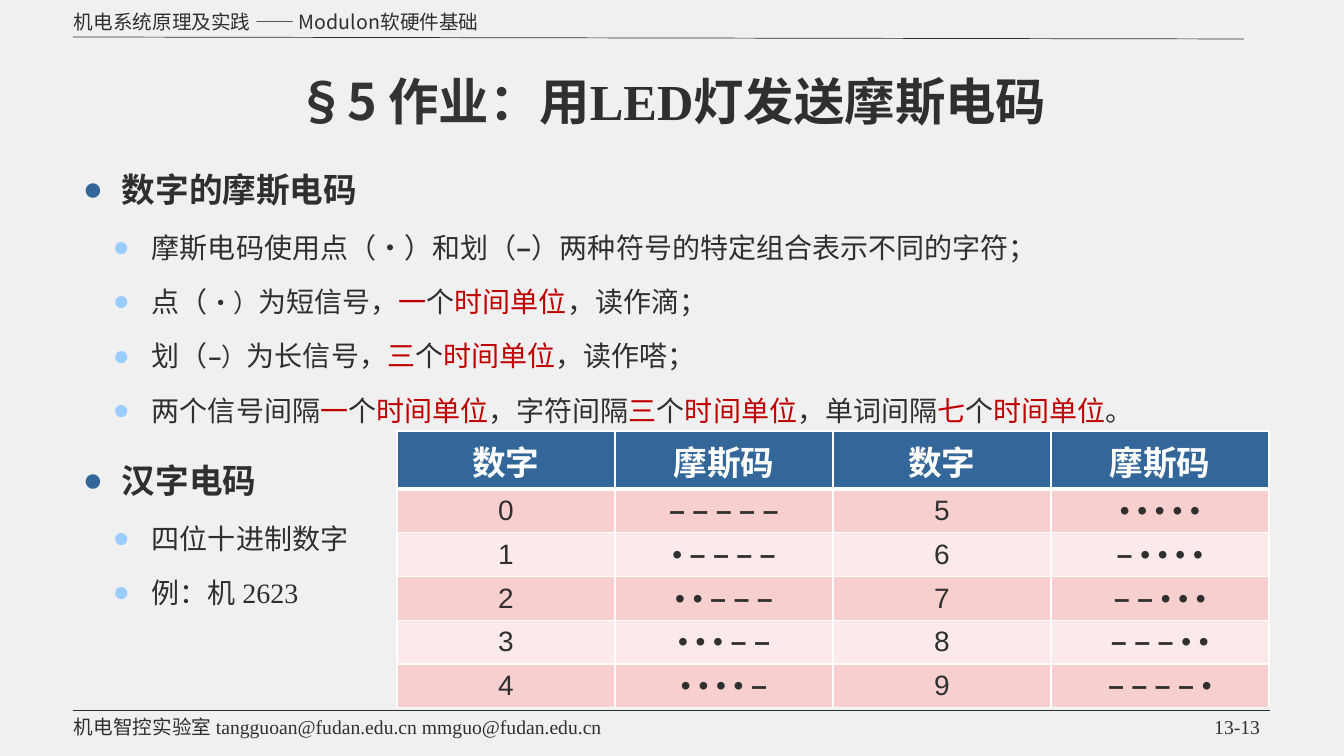
"""Build the slide on sending Morse code with an LED."""
from lxml.etree import SubElement
from pptx import Presentation
from pptx.dml.color import RGBColor
from pptx.enum.shapes import MSO_CONNECTOR
from pptx.enum.text import MSO_ANCHOR, MSO_AUTO_SIZE, PP_ALIGN
from pptx.oxml.ns import qn
from pptx.util import Pt

PX = 12192000 / 1344
COLORS = {"page": "F0F0F0", "ink": "2F2F2F", "title": "333333", "red": "C00000", "blue": "336699",
          "sky": "99CCFF", "white": "FFFFFF", "odd_row": "F8CFCF", "even_row": "FCE9E9"}
SANS, SERIF = "Noto Sans CJK SC", "Times New Roman"
RED, BOLD, SMALL = {"color": "red"}, {"bold": True}, {"size": Pt(18)}


def write(para, spans, **base):
    """Add runs to a paragraph, each a text with its own format changes."""
    for text, changes in spans:
        span = para.add_run()
        span.text = text
        look = {"name": SERIF, "color": "ink", "bold": False, **base, **changes}
        span.font.color.rgb = RGBColor.from_string(COLORS[look.pop("color")])
        for key, value in look.items():
            setattr(span.font, key, value)
        SubElement(span.font._element, qn("a:ea"), typeface=SANS)


def add_box(left, top, width, height, **frame_format):
    """Add a wrapping text box and return its text frame."""
    box = slide.shapes.add_textbox(*(round(n * PX) for n in (left, top, width, height)))
    for key, value in {"word_wrap": True, **frame_format}.items():
        setattr(box.text_frame, key, value)
    return box.text_frame


deck = Presentation()
deck.slide_width, deck.slide_height = round(1344 * PX), round(756 * PX)
slide = deck.slides.add_slide(deck.slide_layouts[5])
slide.background.fill.solid()
slide.background.fill.fore_color.rgb = RGBColor.from_string(COLORS["page"])

running_lines = [
    (5, 920, [("机电系统原理及实践 —— Modulon软硬件基础", {"name": SANS})]),
    (710, 1233, [("机电智控实验室 ", {"name": SANS}),
                 ("tangguoan@fudan.edu.cn mmguo@fudan.edu.cn", {})]),
]
for top, width, spans in running_lines:
    frame = add_box(64, top, width, 34, vertical_anchor=MSO_ANCHOR.MIDDLE)
    write(frame.paragraphs[0], spans, size=Pt(14))

for ends in [(73, 710, 1270, 710), (73, 37, 1244, 39)]:
    rule = slide.shapes.add_connector(MSO_CONNECTOR.STRAIGHT, *(round(n * PX) for n in ends))
    rule.line.color.rgb = RGBColor.from_string(COLORS["ink"])
    rule.line.width = Pt(0.5)
    SubElement(rule._element.spPr, qn("a:effectLst"))

title = slide.shapes.title
for key, value in {"left": 73, "top": 72, "width": 1197, "height": 50}.items():
    setattr(title, key, round(value * PX))
title_format = {"auto_size": MSO_AUTO_SIZE.NONE, "vertical_anchor": MSO_ANCHOR.MIDDLE,
                "margin_top": round(14 * PX), "margin_bottom": 0}
for key, value in title_format.items():
    setattr(title.text_frame, key, value)
heading = title.text_frame.paragraphs[0]
heading.alignment, heading.line_spacing = PP_ALIGN.CENTER, 0.9
write(heading, [("§5 作业：", {"name": SANS, "color": "title"}), ("用LED灯发送摩斯电码", {})],
      size=Pt(36), bold=True)

unit = ("时间单位", RED)
morse_rules = [
    [("数字的摩斯电码", {})],
    [("摩斯电码使用点（•）和划（", {}), ("–", BOLD), ("）两种符号的特定组合表示不同的字符；", {})],
    [("点（", {}), ("•）", SMALL), ("为短信号，", {}), ("一", RED), ("个", {}), unit, ("，读作滴；", {})],
    [("划（", {}), ("–", {**SMALL, **BOLD}), ("）", SMALL), ("为长信号，", {}), ("三", RED),
     ("个", {}), unit, ("，读作嗒；", {})],
    [("两个信号间隔", {}), ("一", RED), ("个", {}), unit, ("，字符间隔", {}), ("三", RED),
     ("个", {}), unit, ("，单词间隔", {}), ("七", RED), ("个", {}), unit, ("。", {})],
]
hanzi_rules = [[("汉字电码", {})], [("四位十进制数字", {})], [("例：机 2623", {})]]
levels = [{"margin": 39, "bullet": "blue", "size": 24}, {"margin": 69, "bullet": "sky", "size": 20}]
for place, outline in [((73, 144, 1197, 278), morse_rules), ((73, 435, 301, 189), hanzi_rules)]:
    frame = add_box(*place)
    for index, spans in enumerate(outline):
        para = frame.add_paragraph() if index else frame.paragraphs[0]
        para.level = min(index, 1)
        level = levels[para.level]
        para.line_spacing = 1.5
        para.space_before = Pt(2.8 if index else 0)
        props = para._p.get_or_add_pPr()
        props.set("marL", str(round(level["margin"] * PX)))
        props.set("indent", str(round(-39 * PX)))
        SubElement(SubElement(props, qn("a:buClr")), qn("a:srgbClr"), val=COLORS[level["bullet"]])
        SubElement(props, qn("a:buFont"), typeface="Arial")
        SubElement(props, qn("a:buChar"), char="●")
        write(para, spans, size=Pt(level["size"]), bold=index == 0)

page_number = add_box(977, 710, 293, 24).paragraphs[0]
page_number.alignment = PP_ALIGN.RIGHT
write(page_number, [("13-13", {})], size=Pt(14))

rows = [[[(label, {})] for label in ["数字", "摩斯码"] * 2]]
for low in range(5):
    dots, dashes = ["•"] * low, ["–"] * (5 - low)
    low_code = [(" ".join(dots) + " " if dots else "", {}), (" ".join(dashes), BOLD)]
    dashes, dots = ["–"] * low, ["•"] * (5 - low)
    high_code = [(" ".join(dashes) + " " if dashes else "", BOLD), (" ".join(dots), {})]
    codes = [[span for span in code if span[0]] for code in (low_code, high_code)]
    rows.append([[(str(low), {})], codes[0], [(str(low + 5), {})], codes[1]])

holder = slide.shapes.add_table(6, 4, *(round(n * PX) for n in (397, 431, 872, 273)))
table = holder.table
for column in table.columns:
    column.width = round(218 * PX)
for row_index, row in enumerate(rows):
    header = row_index == 0
    table.rows[row_index].height = round((58 if header else 43) * PX)
    fill = "blue" if header else "odd_row" if row_index % 2 else "even_row"
    for column_index, spans in enumerate(row):
        cell = table.cell(row_index, column_index)
        cell.vertical_anchor = MSO_ANCHOR.MIDDLE
        for side in ["lnL", "lnR", "lnT", "lnB"]:
            thick = (header and side == "lnB") or (row_index == 1 and side == "lnT")
            border = SubElement(cell._tc.get_or_add_tcPr(), qn(f"a:{side}"),
                                w=str(Pt(3 if thick else 1)))
            SubElement(SubElement(border, qn("a:solidFill")), qn("a:srgbClr"), val=COLORS["white"])
        cell.fill.solid()
        cell.fill.fore_color.rgb = RGBColor.from_string(COLORS[fill])
        para = cell.text_frame.paragraphs[0]
        para.alignment = PP_ALIGN.CENTER
        write(para, spans, name="Arial", size=Pt(24 if header else 20), bold=header,
              color="white" if header else "ink")

deck.save("out.pptx")
